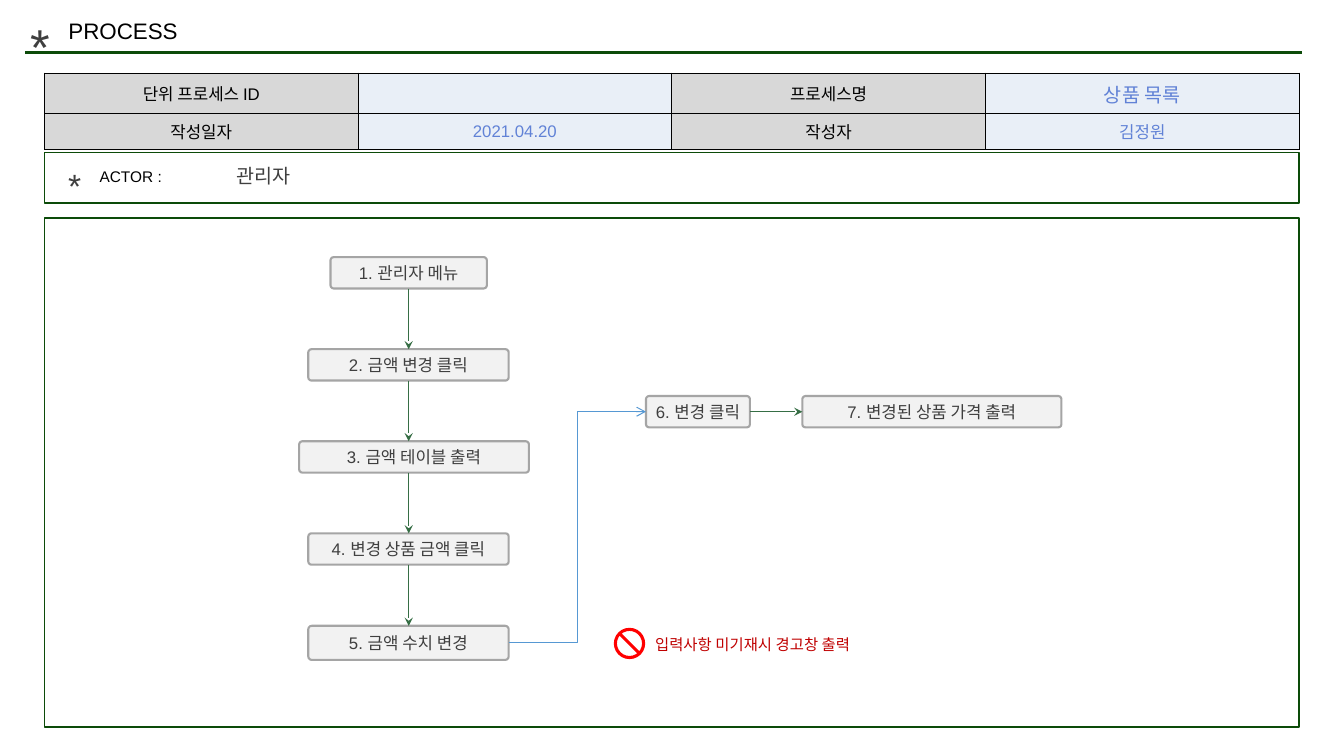
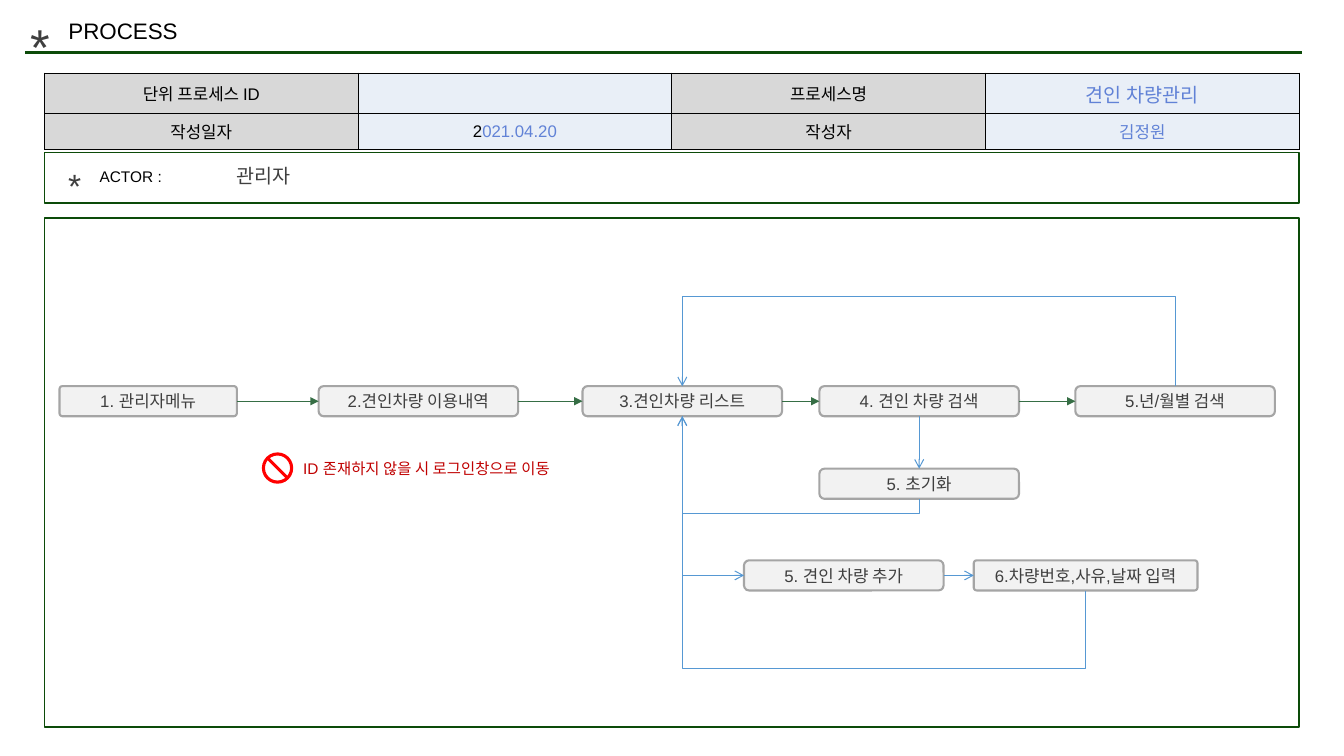
import pptx
import pptx.util
import pptx.dml.color
import pptx.enum.shapes
import pptx.enum.text
import lxml.etree
import pptx.oxml
import pptx.oxml.ns

Cm = pptx.util.Cm
Pt = pptx.util.Pt
SHAPE = pptx.enum.shapes.MSO_SHAPE
CONNECTOR = pptx.enum.shapes.MSO_CONNECTOR
ALIGN = pptx.enum.text.PP_ALIGN
ANCHOR = pptx.enum.text.MSO_ANCHOR
qn = pptx.oxml.ns.qn

COLORS = {
    "frame": "0C4B09", "black": "000000", "body": "3F3F3F", "label": "D8D8D8",
    "value": "E9EFF7", "entry": "6182D6", "step": "F2F2F2", "edge": "A5A5A5",
    "forward": "366E45", "branch": "5698D3", "warning": "C00000", "ban": "FF0000",
}
FONT = "Arial"
TOP, LEFT, BOTTOM, RIGHT = range(4)


def rgb(name):
    return pptx.dml.color.RGBColor.from_string(COLORS[name])


def write(frame, runs, size, align=ALIGN.LEFT):
    frame.word_wrap = True
    paragraph = frame.paragraphs[0]
    paragraph.alignment = align
    for words, color in runs:
        run = paragraph.add_run()
        run.text = words
        run.font.name = FONT
        run.font.size = Pt(size)
        run.font.color.rgb = rgb(color)


processes = [
    {
        "name": "상품 목록",
        "date": [("2021.04.20", "entry")],
        "steps": [
            ("1. 관리자 메뉴", 8.33, 6.48, 3.94, 0.79, 0.1),
            ("2. 금액 변경 클릭", 7.77, 8.8, 5.05, 0.79, 0.1),
            ("3. 금액 테이블 출력", 7.54, 11.12, 5.79, 0.79, 0.1),
            ("4. 변경 상품 금액 클릭", 7.77, 13.44, 5.05, 0.79, 0.1),
            ("5. 금액 수치 변경", 7.77, 15.77, 5.05, 0.86, 0.1),
            ("6. 변경 클릭", 16.28, 9.98, 2.62, 0.79, 0.1),
            ("7. 변경된 상품 가격 출력", 20.22, 9.98, 6.53, 0.79, 0.1),
        ],
        "links": [
            (0, BOTTOM, 1, TOP, "forward", "stealth", "plumb"),
            (1, BOTTOM, 2, TOP, "forward", "stealth", "plumb"),
            (2, BOTTOM, 3, TOP, "forward", "stealth", "plumb"),
            (3, BOTTOM, 4, TOP, "forward", "stealth", "plumb"),
            (4, RIGHT, 5, LEFT, "branch", "arrow", "midway"),
            (5, RIGHT, 6, LEFT, "forward", "stealth", "straight"),
        ],
        "warning": ("입력사항 미기재시 경고창 출력", 15.47, 15.82),
    },
    {
        "name": "견인 차량관리",
        "date": [("2", "black"), ("021.04.20", "entry")],
        "steps": [
            ("1. 관리자메뉴", 1.5, 9.73, 4.47, 0.76, 0.1),
            ("2.견인차량 이용내역", 8.03, 9.73, 5.03, 0.76, 0.17),
            ("3.견인차량 리스트", 14.68, 9.73, 5.03, 0.76, 0.17),
            ("4. 견인 차량 검색", 20.65, 9.73, 5.03, 0.76, 0.17),
            ("5.년/월별 검색", 27.1, 9.73, 5.03, 0.76, 0.17),
            ("5. 초기화", 20.65, 11.81, 5.03, 0.76, 0.17),
            ("5. 견인 차량 추가", 18.75, 14.12, 5.03, 0.76, 0.17),
            ("6.차량번호,사유,날짜 입력", 24.54, 14.12, 5.64, 0.76, 0.1),
        ],
        "links": [
            (0, RIGHT, 1, LEFT, "forward", "triangle", "straight"),
            (1, RIGHT, 2, LEFT, "forward", "triangle", "straight"),
            (2, RIGHT, 3, LEFT, "forward", "triangle", "straight"),
            (3, RIGHT, 4, LEFT, "forward", "triangle", "straight"),
            (4, TOP, 2, TOP, "branch", "arrow", 7.47),
            (3, BOTTOM, 5, TOP, "branch", "arrow", "straight"),
            (5, BOTTOM, 2, BOTTOM, "branch", "arrow", 12.95),
            (2, BOTTOM, 6, LEFT, "branch", "arrow", "corner"),
            (6, RIGHT, 7, LEFT, "branch", "arrow", "straight"),
            (7, BOTTOM, 2, BOTTOM, "branch", "arrow", 16.84),
        ],
        "warning": ("ID 존재하지 않을 시 로그인창으로 이동", 6.6, 11.4),
    },
]

deck = pptx.Presentation()
deck.slide_width = Cm(33.87)
deck.slide_height = Cm(19.05)
layout = deck.slide_layouts[5]
heading = layout.placeholders[0]
heading.left, heading.top, heading.width, heading.height = Cm(1.47), Cm(0.3), Cm(10.97), Cm(0.94)
heading.text_frame.vertical_anchor = ANCHOR.TOP
heading.text_frame.auto_size = pptx.enum.text.MSO_AUTO_SIZE.NONE

for process in processes:
    slide = deck.slides.add_slide(layout)
    shapes = slide.shapes
    write(shapes.title.text_frame, [("PROCESS", "black")], 16)

    if process is processes[0]:
        rule = shapes.add_connector(CONNECTOR.STRAIGHT, Cm(0.64), Cm(1.32), Cm(32.82), Cm(1.32))
        rule.line.color.rgb = rgb("frame")
        rule.line.width = Pt(2.25)
        lxml.etree.SubElement(rule.element.spPr, qn("a:effectLst"))
        layout.shapes.element.append(rule.element)

    summary = shapes.add_table(2, 4, Cm(1.12), Cm(1.84), Cm(31.62), Cm(1.85)).table
    summary.first_row = False
    summary.horz_banding = False
    summary.rows[0].height = Cm(0.96)
    summary.rows[1].height = Cm(0.89)
    entries = [
        [("단위 프로세스 ID", "black")], [],
        [("프로세스명", "black")], [(process["name"], "entry")],
        [("작성일자", "black")], process["date"],
        [("작성자", "black")], [("김정원", "entry")],
    ]
    for position, (cell, entry) in enumerate(zip(summary.iter_cells(), entries)):
        properties = cell._tc.get_or_add_tcPr()
        for side in ("lnL", "lnR", "lnT", "lnB"):
            border = lxml.etree.SubElement(properties, qn("a:" + side), w=str(Pt(0.75)))
            ink = lxml.etree.SubElement(border, qn("a:solidFill"))
            lxml.etree.SubElement(ink, qn("a:srgbClr"), val=COLORS["black"])
        cell.fill.solid()
        cell.fill.fore_color.rgb = rgb("value" if position % 2 else "label")
        cell.vertical_anchor = ANCHOR.MIDDLE
        write(cell.text_frame, entry, 14 if position == 3 else 12, ALIGN.CENTER)

    for top, height in ((3.84, 1.28), (5.49, 12.83)):
        panel = shapes.add_shape(SHAPE.RECTANGLE, Cm(1.12), Cm(top), Cm(31.62), Cm(height))
        panel.shadow.inherit = False
        panel.fill.background()
        panel.line.color.rgb = rgb("frame")
        panel.line.width = Pt(1)

    warning, ban_left, ban_top = process["warning"]
    for words, left, top, width, height, size, color in (
        ("*", 0.51, 0.25, 1.32, 1.8, 36, "body"),
        ("*", 1.47, 4.04, 1.32, 1.27, 24, "body"),
        ("ACTOR :", 2.26, 4.09, 3.38, 0.74, 11, "black"),
        ("관리자", 5.72, 4.01, 10.97, 0.86, 14, "body"),
        (warning, ban_left + 0.79, ban_top + 0.05, 8.69, 0.74, 11, "warning"),
    ):
        note = shapes.add_textbox(Cm(left), Cm(top), Cm(width), Cm(height))
        write(note.text_frame, [(words, color)], size)

    ban = shapes.add_shape(SHAPE.NO_SYMBOL, Cm(ban_left), Cm(ban_top), Cm(0.79), Cm(0.79))
    ban.adjustments[0] = 0.1
    ban.shadow.inherit = False
    ban.fill.solid()
    ban.fill.fore_color.rgb = rgb("ban")
    ban.line.fill.background()

    steps = []
    for words, left, top, width, height, rounding in process["steps"]:
        step = shapes.add_shape(SHAPE.ROUNDED_RECTANGLE, Cm(left), Cm(top), Cm(width), Cm(height))
        step.adjustments[0] = rounding
        step.shadow.inherit = False
        step.fill.solid()
        step.fill.fore_color.rgb = rgb("step")
        step.line.color.rgb = rgb("edge")
        step.line.width = Pt(1.5)
        frame = step.text_frame
        frame.margin_left = frame.margin_right = frame.margin_top = frame.margin_bottom = Cm(0.1)
        frame.vertical_anchor = ANCHOR.MIDDLE
        write(frame, [(words, "body")], 12, ALIGN.CENTER)
        steps.append(step)

    column = steps[0].left + steps[0].width // 2
    for start, start_site, end, end_site, color, head, route in process["links"]:
        source, target = steps[start], steps[end]
        kind = CONNECTOR.STRAIGHT if route in ("straight", "plumb") else CONNECTOR.ELBOW
        link = shapes.add_connector(kind, column, source.top + source.height, column, target.top)
        if route != "plumb":
            link.begin_connect(source, start_site)
            link.end_connect(target, end_site)
        if route == "corner" or isinstance(route, float):
            x1, y1, x2, y2 = link.begin_x, link.begin_y, link.end_x, link.end_y
            leftward, upward = x2 < x1, y2 < y1
            run_length = max(abs(y2 - y1), Cm(0.01))
            link.width, link.height = run_length, abs(x2 - x1)
            link.left = (x1 + x2 - link.width) // 2
            link.top = (y1 + y2 - link.height) // 2
            turned = link.element.spPr.find(qn("a:xfrm"))
            turned.set("rot", str((90 if leftward else 270) * 60000))
            turned.set("flipH", "1" if leftward == upward else "0")
            turned.set("flipV", "0")
            geometry = link.element.spPr.find(qn("a:prstGeom"))
            if route == "corner":
                geometry.set("prst", "bentConnector2")
            else:
                bend = (Cm(route) - y1) / (-run_length if upward else run_length)
                guides = geometry.find(qn("a:avLst"))
                lxml.etree.SubElement(guides, qn("a:gd"), name="adj1", fmla=f"val {round(bend * 100000)}")
        link.line.color.rgb = rgb(color)
        link.line.width = Pt(0.75)
        lxml.etree.SubElement(link.line._get_or_add_ln(), qn("a:tailEnd"), type=head)
        lxml.etree.SubElement(link.element.spPr, qn("a:effectLst"))

deck.save("out.pptx")
